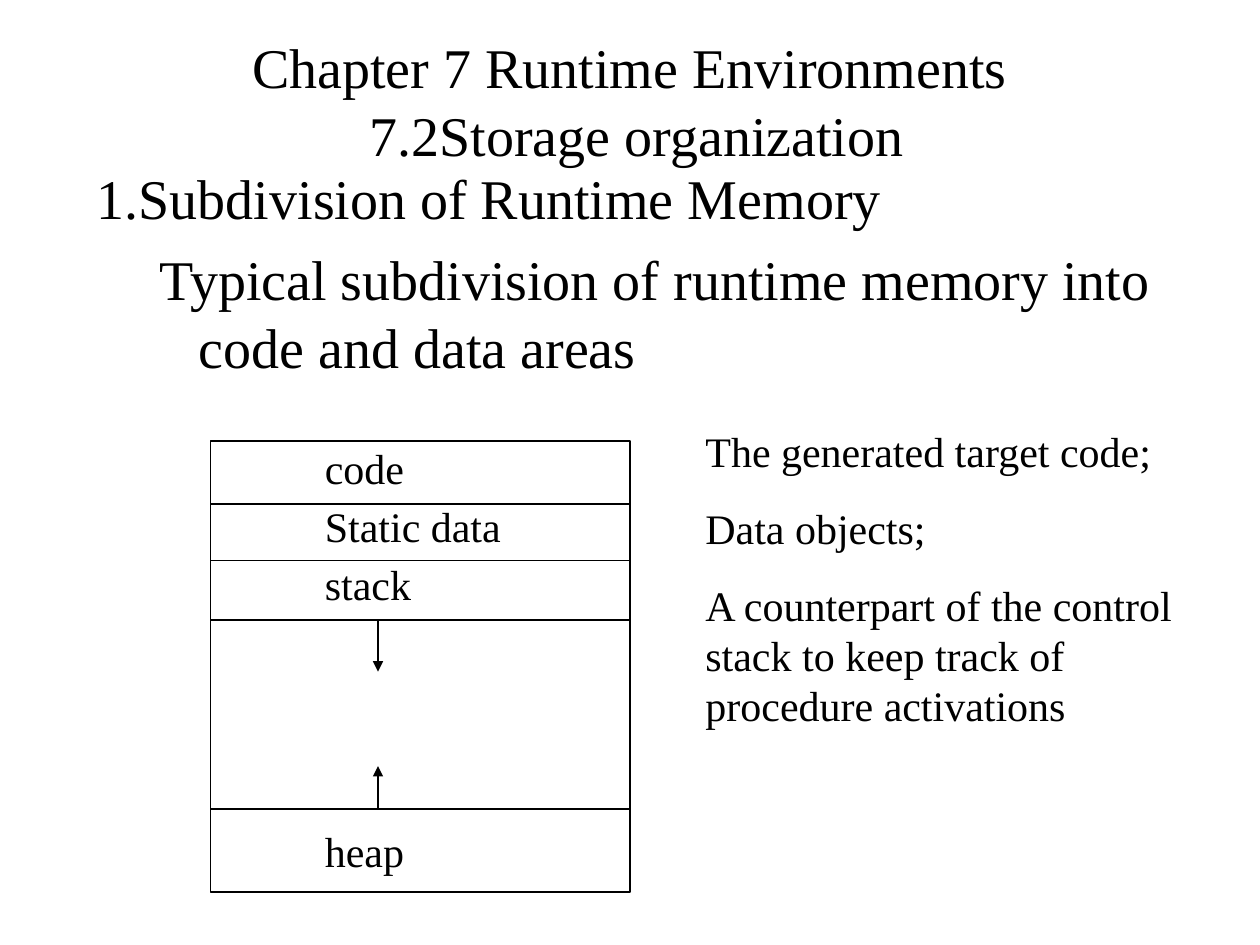
from lxml import etree
from pptx import Presentation
from pptx.dml.color import RGBColor
from pptx.enum.shapes import MSO_CONNECTOR as Connector, MSO_SHAPE as Shape
from pptx.enum.text import MSO_ANCHOR as Anchor, MSO_AUTO_SIZE as AutoSize, PP_ALIGN as Align
from pptx.oxml.ns import qn
from pptx.util import Inches, Pt

COLORS = {"ink": "000000"}


class SlideBuilder:
    """Holds the style and the slide being drawn."""

    font = "Times New Roman"
    line_width = Pt(0.75)
    ink = RGBColor.from_string(COLORS["ink"])

    def __init__(self, slide):
        self.slide = slide

    def text(self, left, top, width, height, paragraphs, size, gap=0, indents=(),
             align=Align.LEFT, anchor=Anchor.TOP, wrap=True, grow=False):
        box = self.slide.shapes.add_textbox(
            Inches(left), Inches(top), Inches(width), Inches(height))
        frame = box.text_frame
        frame.word_wrap = wrap
        frame.auto_size = AutoSize.SHAPE_TO_FIT_TEXT if grow else AutoSize.NONE
        frame.vertical_anchor = anchor
        for i, words in enumerate(paragraphs):
            para = frame.add_paragraph() if i else frame.paragraphs[0]
            para.text = words
            para.alignment = align
            para.space_before = Pt(gap if i else 0)
            if indents:
                margin, hanging = indents[i]
                props = para._p.get_or_add_pPr()
                props.set("marL", str(Inches(margin)))
                props.set("indent", str(Inches(-hanging)))
            para.font.name = self.font
            para.font.size = Pt(size)
            para.font.color.rgb = self.ink

    def frame(self, left, top, width, height):
        rect = self.slide.shapes.add_shape(
            Shape.RECTANGLE, Inches(left), Inches(top), Inches(width), Inches(height))
        rect.shadow.inherit = False
        rect.fill.background()
        rect.line.color.rgb = self.ink
        rect.line.width = self.line_width

    def line(self, x1, y1, x2, y2, arrow=False):
        rule = self.slide.shapes.add_connector(
            Connector.STRAIGHT, Inches(x1), Inches(y1), Inches(x2), Inches(y2))
        rule.line.color.rgb = self.ink
        rule.line.width = self.line_width
        if arrow:
            etree.SubElement(rule.line._get_or_add_ln(), qn("a:tailEnd"), type="triangle")
        etree.SubElement(rule._element.spPr, qn("a:effectLst"))


def main():
    deck = Presentation()
    deck.slide_width, deck.slide_height = Inches(10), Inches(7.5)
    builder = SlideBuilder(deck.slides.add_slide(deck.slide_layouts[6]))

    # Title and introduction
    builder.text(0.75, 0.17, 8.5, 1.25,
                 ["Chapter 7 Runtime Environments\v 7.2Storage organization"],
                 32, align=Align.CENTER, anchor=Anchor.MIDDLE)
    builder.text(0.67, 1.25, 9, 5.83,
                 ["1.Subdivision of Runtime Memory",
                  "Typical subdivision of runtime memory into code and data areas"],
                 32, gap=8, indents=[(0.38, 0.38), (0.81, 0.31)])

    # Memory map: outer frame, dividers and area names
    left, right = 1.67, 5
    stack_end, heap_start = 4.92, 6.42
    builder.frame(left, 3.5, right - left, 3.58)
    for divider in (4, 4.45, stack_end, heap_start):
        builder.line(left, divider, right, divider)
    for area, top, width in (("code", 3.46, 0.83), ("Static data", 3.92, 1.6),
                             ("stack", 4.38, 0.9), ("heap", 6.5, 0.83)):
        builder.text(2.48, top, width, 0.5, [area], 24, wrap=False, grow=True)

    # Stack and heap grow towards each other
    for start, tip in ((stack_end, 5.33), (heap_start, 6.08)):
        builder.line(3, start, 3, tip, arrow=True)

    # What the areas hold
    builder.text(5.5, 3.33, 4.08, 2.52,
                 ["The generated target code;", "Data objects;",
                  "A counterpart of the control stack to keep track of procedure activations"],
                 24, gap=15, grow=True)

    deck.save("out.pptx")


if __name__ == "__main__":
    main()
